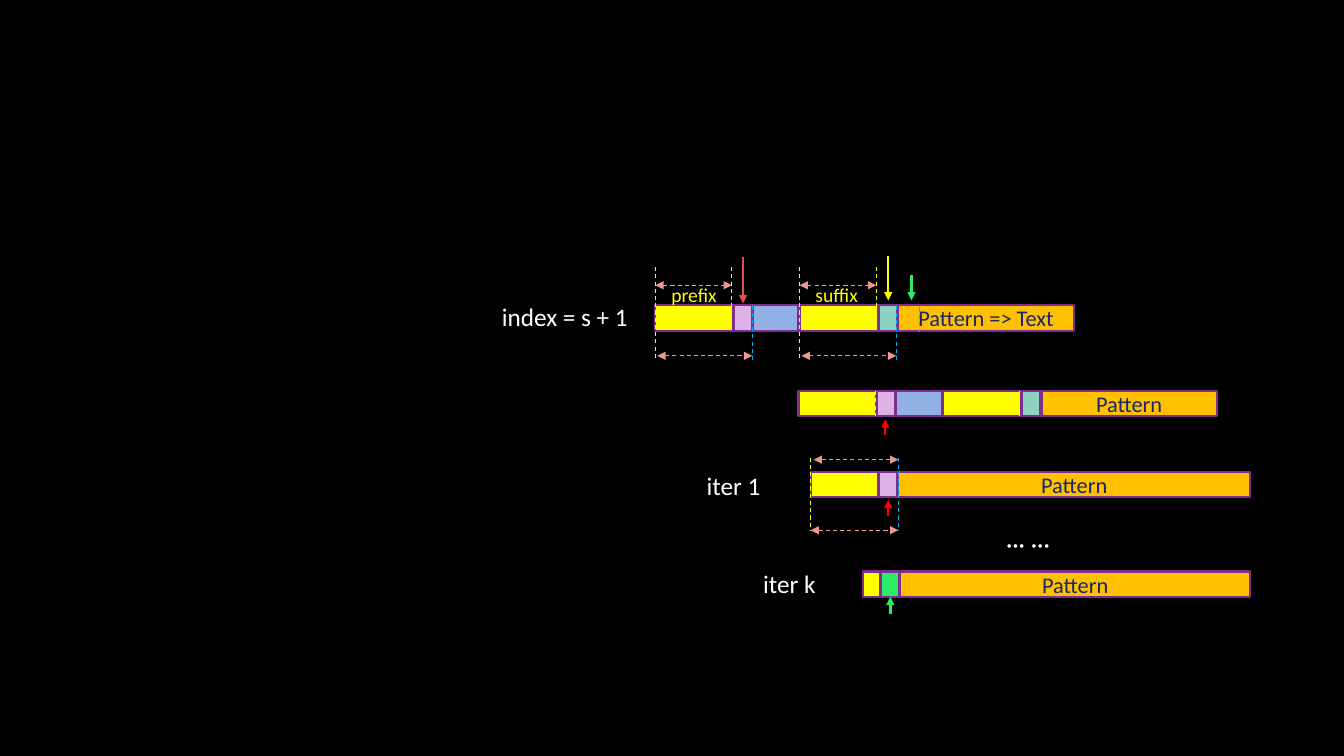
from pptx import Presentation
from pptx.dml.color import RGBColor
from pptx.enum.dml import MSO_LINE_DASH_STYLE as Dash
from pptx.enum.shapes import MSO_CONNECTOR as Link, MSO_SHAPE as Shape
from pptx.enum.text import MSO_ANCHOR as Anchor, PP_ALIGN as Align
from pptx.oxml.ns import qn
from pptx.util import Inches, Pt
from lxml.etree import SubElement

YELLOW, PINK, BLUE, TEAL, ORANGE = "FFFF00", "DEB2E6", "91B0E3", "8ED3C2", "FFC000"
GREEN, RED, BRICK, SALMON, SKY = "2CEC67", "FF0000", "E25247", "EE9791", "00B0F0"
PURPLE, NAVY, WHITE = "7F2E8F", "18276C", "FFFFFF"
HEIGHT, GAP = 0.25, 0.01
FULL_PATTERN = [(0.77, YELLOW), (0.18, PINK), (0.45, BLUE),
                (0.78, YELLOW), (0.18, TEAL), (1.74, ORANGE)]


def color(value):
    return RGBColor.from_string(value)


def write(frame, text, size, ink, align=Align.LEFT):
    para = frame.paragraphs[0]
    para.alignment = align
    span = para.add_run()
    span.text = text
    for name, value in {"name": "Calibri", "size": Pt(size)}.items():
        setattr(span.font, name, value)
    span.font.color.rgb = color(ink)


def add_label(page, left, top, width, text, size=18, ink=WHITE):
    height = 0.4 if size == 18 else 0.34
    box = page.shapes.add_textbox(*map(Inches, (left, top, width, height)))
    box.text_frame.word_wrap = True
    write(box.text_frame, text, size, ink)


def add_line(page, start, end, ink, weight=0.75, dashed=True, ends=()):
    line = page.shapes.add_connector(Link.STRAIGHT, *map(Inches, (*start, *end)))
    line.line.color.rgb = color(ink)
    line.line.width = Pt(weight)
    if dashed:
        line.line.dash_style = Dash.DASH
    outline = line.line._get_or_add_ln()
    for name in ends:
        SubElement(outline, qn("a:" + name), type="triangle")
    SubElement(line._element.spPr, qn("a:effectLst"))
    return line


def add_guide(page, x, top, bottom, ink=YELLOW):
    add_line(page, (x, top), (x, bottom), ink)


def add_measure(page, left, right, y):
    add_line(page, (left, y), (right, y), SALMON, ends=("headEnd", "tailEnd"))


def add_pointer(page, x, start, end, ink):
    return add_line(page, (x, start), (x, end), ink, 1.75, False, ("tailEnd",))


def add_bar(page, left, top, segments, text):
    """Draw adjoining segments; the last one carries the text."""
    blocks = []
    for width, fill in segments:
        block = page.shapes.add_shape(
            Shape.RECTANGLE, *map(Inches, (left, top, width, HEIGHT)))
        block.shadow.inherit = False
        block.fill.solid()
        block.fill.fore_color.rgb = color(fill)
        block.line.color.rgb = color(PURPLE)
        block.line.width = Pt(1.5)
        blocks.append(block)
        left += width + GAP
    frame = blocks[-1].text_frame
    frame.vertical_anchor = Anchor.MIDDLE
    write(frame, text, 16, NAVY, Align.CENTER)
    return blocks


def add_text_row(page, left, top):
    add_bar(page, left, top, FULL_PATTERN, "Pattern => Text")
    add_label(page, left - 1.62, top - 0.09, 1.49, "index = s + 1")
    # The prefix and the suffix carry the same guides and measures
    for start, name in ((left, "prefix"), (left + 1.43, "suffix")):
        add_guide(page, start, top - 0.38, top + 0.55)
        add_guide(page, start + 0.76, top - 0.38, top + 0.26)
        add_guide(page, start + 0.96, top, top + 0.55, SKY)
        add_measure(page, start, start + 0.76, top - 0.2)
        add_measure(page, start + 0.02, start + 0.96, top + 0.5)
        add_label(page, start + 0.06, top - 0.27, 0.74, name, 14, YELLOW)
    add_guide(page, left + 2.62, top + 0.02, top + 0.26, SKY)
    # Compared characters
    for offset, start, end, ink in ((0.87, 0.48, 0.02, BRICK),
                                    (2.31, 0.49, 0.05, YELLOW),
                                    (2.54, 0.3, 0.05, GREEN)):
        add_pointer(page, left + offset, top - start, top - end, ink)


def add_shifted_row(page, left, top):
    add_bar(page, left, top, FULL_PATTERN, "Pattern")
    for offset in (0.76, 2.19):
        add_guide(page, left + offset, top, top + HEIGHT)
    add_pointer(page, left + 0.86, top + 0.44, top + 0.28, RED)


def add_first_iteration(page, left, top):
    add_bar(page, left, top, [(0.67, YELLOW), (0.18, PINK), (3.49, ORANGE)], "Pattern")
    add_label(page, left - 1.13, top - 0.06, 1.49, "iter 1")
    right = left + 0.87
    for x, ink in ((left, YELLOW), (right, SKY)):
        add_guide(page, x, top - 0.14, top + 0.58, ink)
    add_measure(page, left + 0.03, right, top - 0.12)
    add_measure(page, left, right, top + 0.58)
    add_pointer(page, left + 0.77, top + 0.44, top + 0.28, RED)
    add_label(page, left + 1.84, top + 0.51, 0.77, "··· ···")


def add_last_iteration(page, left, top):
    blocks = add_bar(page, left, top,
                     [(0.17, YELLOW), (0.18, GREEN), (3.47, ORANGE)], "Pattern")
    add_label(page, left - 1.09, top - 0.08, 1.49, "iter k")
    pointer = add_pointer(page, left + 0.27, top + 0.42, top + HEIGHT, GREEN)
    pointer.end_connect(blocks[1], 2)


def main():
    deck = Presentation()
    deck.slide_width, deck.slide_height = Inches(13.33), Inches(7.5)
    page = deck.slides.add_slide(deck.slide_layouts[6])
    page.background.fill.solid()
    page.background.fill.fore_color.rgb = color("000000")
    add_text_row(page, 6.5, 3.03)
    add_shifted_row(page, 7.92, 3.88)
    add_first_iteration(page, 8.04, 4.68)
    add_last_iteration(page, 8.56, 5.67)
    deck.save("out.pptx")


if __name__ == "__main__":
    main()
